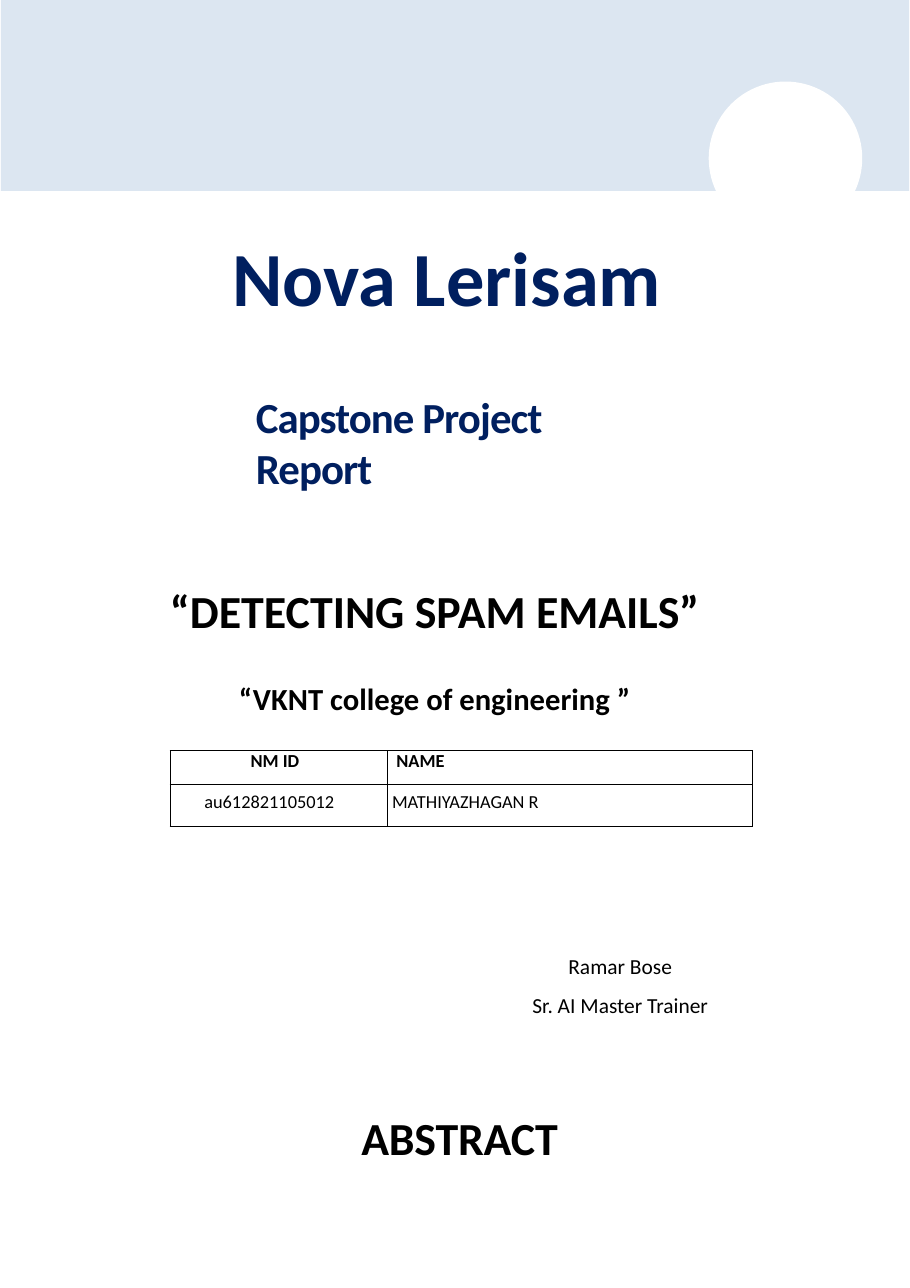
from dataclasses import dataclass

from lxml import etree
from pptx import Presentation
from pptx import util as u
from pptx.dml.color import RGBColor
from pptx.enum import shapes, text
from pptx.oxml import ns


@dataclass(frozen=True)
class Theme:
    font: str = "Calibri"
    navy: str = "001F5F"
    black: str = "000000"
    white: str = "FFFFFF"
    band: str = "DCE6F1"
    title: float = 50
    heading: float = 30
    report: float = 28
    college: float = 20
    trainer: float = 14
    cell: float = 12
    border: float = 0.5


LEFT, CENTER = text.PP_ALIGN.LEFT, text.PP_ALIGN.CENTER


class Cover:
    def __init__(self, prs, theme):
        self.theme = theme
        self.slide = prs.slides.add_slide(prs.slide_layouts[5])

    def shape(self, kind, box, color):
        sp = self.slide.shapes.add_shape(kind, *map(u.Cm, box))
        sp.shadow.inherit = False
        sp.fill.solid()
        sp.fill.fore_color.rgb = RGBColor.from_string(color)
        sp.line.fill.background()

    def paragraph(self, p, words, size, color, bold=True, align=LEFT, before=1.0, tracking=0.0):
        p.text = words
        p.alignment = align
        p.space_before = u.Pt(before)
        p.font.name, p.font.size, p.font.bold = self.theme.font, u.Pt(size), bold
        p.font.color.rgb = RGBColor.from_string(color)
        if tracking:
            p._p.pPr.find(ns.qn("a:defRPr")).set("spc", str(round(tracking * 100)))

    def frame(self, sp, box):
        sp.left, sp.top, sp.width, sp.height = map(u.Cm, box)
        tf = sp.text_frame
        tf.word_wrap = True
        tf.auto_size = text.MSO_AUTO_SIZE.NONE
        tf.vertical_anchor = text.MSO_ANCHOR.TOP
        tf.margin_left = tf.margin_right = tf.margin_bottom = 0
        tf.margin_top = u.Cm(0.03)
        return tf

    def title(self, box, words, size, color):
        tf = self.frame(self.slide.shapes.title, box)
        self.paragraph(tf.paragraphs[0], words, size, color)

    def textbox(self, box):
        return self.frame(self.slide.shapes.add_textbox(*map(u.Cm, box)), box)

    def borders(self, cell):
        tc_pr = cell._tc.get_or_add_tcPr()
        for side in ("lnL", "lnR", "lnT", "lnB"):
            ln = etree.SubElement(tc_pr, ns.qn(f"a:{side}"), w=str(u.Pt(self.theme.border)))
            fill = etree.SubElement(ln, ns.qn("a:solidFill"))
            etree.SubElement(fill, ns.qn("a:srgbClr"), val=self.theme.black)

    def table(self, left, top, widths, heights, bordered=False):
        box = (left, top, sum(widths), sum(heights))
        table = self.slide.shapes.add_table(len(heights), len(widths), *map(u.Cm, box)).table
        table.first_row = table.horz_banding = False
        for column, width in zip(table.columns, widths):
            column.width = u.Cm(width)
        for row, height in zip(table.rows, heights):
            row.height = u.Cm(height)
        for cell in table.iter_cells():
            if bordered:
                self.borders(cell)
            cell.fill.background()
        return table

    def cell(self, cell, words, size, bold=False, align=LEFT, before=0.0, line=None,
             left=0.0, right=0.0, top=0.0):
        cell.margin_left, cell.margin_right = u.Cm(left), u.Cm(right)
        cell.margin_top, cell.margin_bottom = u.Cm(top), 0
        p = cell.text_frame.paragraphs[0]
        self.paragraph(p, words, size, self.theme.black, bold, align, before)
        if line:
            p.line_spacing = u.Pt(line)


def main():
    prs = Presentation()
    prs.slide_width, prs.slide_height = u.Cm(20.98), u.Cm(29.69)
    theme = Theme()
    s = Cover(prs, theme)

    # Header band with round cut-out
    s.shape(shapes.MSO_SHAPE.RECTANGLE, (0.02, 0, 20.94, 4.4), theme.band)
    s.shape(shapes.MSO_SHAPE.OVAL, (16.34, 1.88, 3.54, 3.54), theme.white)

    # Titles
    s.title((5.36, 5.26, 10.6, 2.18), "Nova Lerisam", theme.title, theme.navy)
    report = s.textbox((5.9, 8.97, 9.2, 2.5))
    s.paragraph(report.paragraphs[0], "Capstone Project Report", theme.report, theme.navy,
                tracking=-0.6)

    # Project and college
    project = s.textbox((3.84, 13.41, 12.37, 3.15))
    s.paragraph(project.paragraphs[0], "“DETECTING SPAM EMAILS”", theme.heading, theme.black,
                align=CENTER)
    s.paragraph(project.add_paragraph(), "“VKNT college of engineering ”", theme.college,
                theme.black, align=CENTER, before=27.2)

    # Student table
    students = s.table(3.92, 17.3, (5.02, 8.4), (0.79, 0.96), bordered=True)
    head = dict(size=theme.cell, bold=True, line=14.2)
    entry = dict(size=theme.cell, before=4.2, top=0.15)
    s.cell(students.cell(0, 0), "NM ID", align=CENTER, right=0.18, **head)
    s.cell(students.cell(0, 1), "NAME", left=0.2, **head)
    s.cell(students.cell(1, 0), "au612821105012", align=CENTER, right=0.44, **entry)
    s.cell(students.cell(1, 1), "MATHIYAZHAGAN R", left=0.1, **entry)

    # Trainer
    trainer = s.table(12.14, 22.02, (4.32,), (0.75, 0.75))
    s.cell(trainer.cell(0, 0), "Ramar Bose", theme.trainer, align=CENTER, line=16.1)
    s.cell(trainer.cell(1, 0), "Sr. AI Master Trainer", theme.trainer, align=CENTER,
           before=3.6, line=16.8, top=0.13)

    # Next section heading
    abstract = s.textbox((8.33, 25.55, 4.8, 1.35))
    s.paragraph(abstract.paragraphs[0], "ABSTRACT", theme.heading, theme.black, tracking=-0.1)

    prs.save("out.pptx")


if __name__ == "__main__":
    main()
